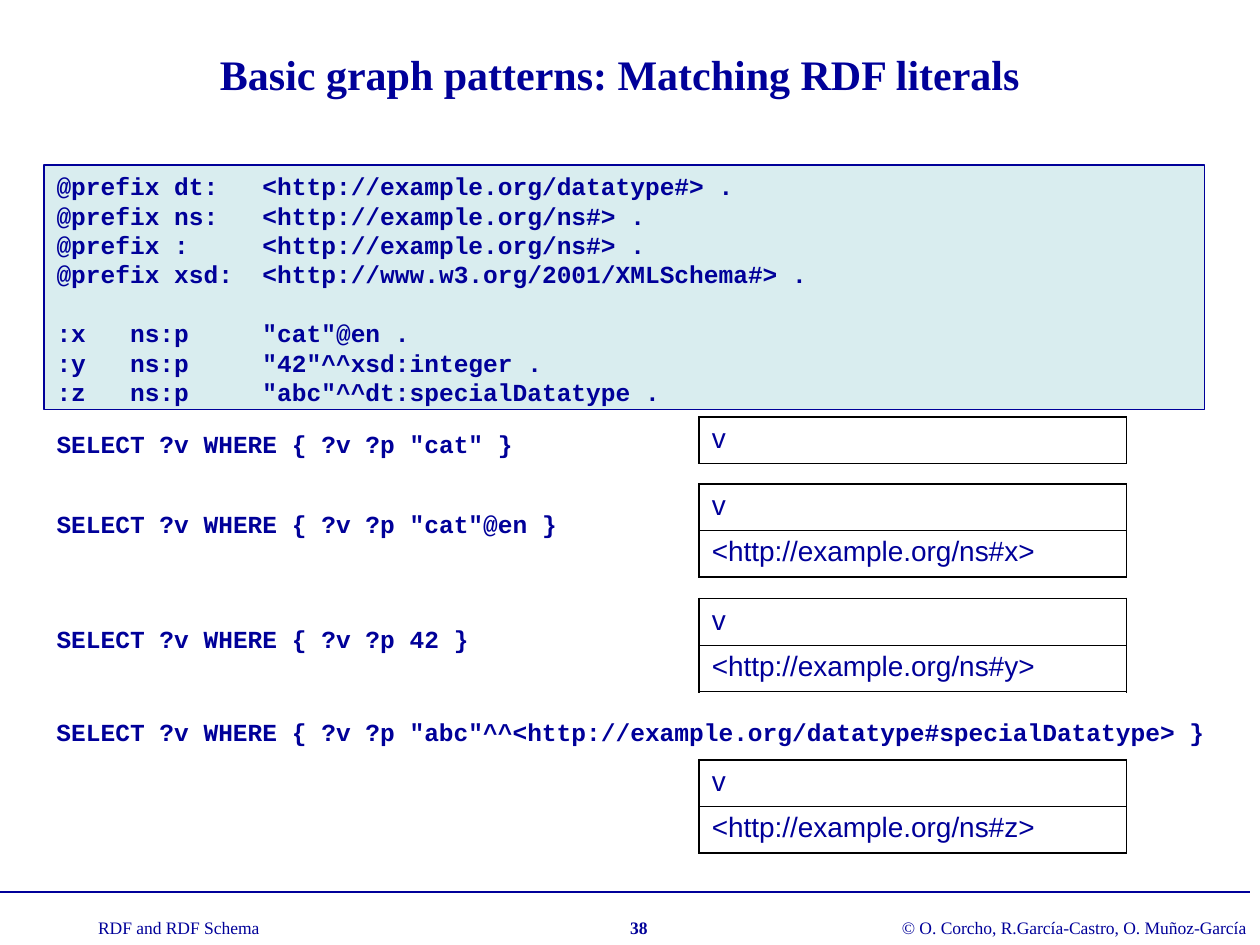
from lxml import etree
from pptx import Presentation
from pptx.dml.color import RGBColor
from pptx.enum.shapes import MSO_CONNECTOR, MSO_SHAPE
from pptx.enum.text import MSO_ANCHOR, MSO_AUTO_SIZE, PP_ALIGN
from pptx.oxml import parse_xml
from pptx.oxml.ns import nsdecls, qn
from pptx.util import Inches, Pt

NAVY = "000099"


def rgb(h):
    return RGBColor.from_string(h)


def write(tf, lines, font, size, bold=False, align=PP_ALIGN.LEFT):
    tf.text = "\n".join(lines)
    for p in tf.paragraphs:
        p.alignment = align
        for r in p.runs:
            r.font.name = font
            r.font.size = Pt(size)
            r.font.bold = bold
            r.font.color.rgb = rgb(NAVY)


prs = Presentation()
prs.slide_width, prs.slide_height = Inches(10), Inches(7.5)
s = prs.slides.add_slide(prs.slide_layouts[6])

rule = s.shapes.add_connector(
    MSO_CONNECTOR.STRAIGHT, Inches(0), Inches(7.08), Inches(9.92), Inches(7.08))
rule.line.color.rgb = rgb(NAVY)
rule.line.width = Pt(1)
etree.SubElement(rule._element.spPr, qn("a:effectLst"))

footers = [
    (7.06, 2.94, "© O. Corcho, R.García-Castro, O. Muñoz-García", False, PP_ALIGN.LEFT),
    (4.66, 0.82, "38", True, PP_ALIGN.CENTER),
    (0.68, 1.48, "RDF and RDF Schema", False, PP_ALIGN.LEFT),
]
for x, w, text, bold, align in footers:
    tf = s.shapes.add_textbox(Inches(x), Inches(7.23), Inches(w), Inches(0.27)).text_frame
    tf.word_wrap = False
    tf.auto_size = MSO_AUTO_SIZE.SHAPE_TO_FIT_TEXT
    write(tf, [text], "Times New Roman", 10, bold, align)

data = s.shapes.add_shape(
    MSO_SHAPE.RECTANGLE, Inches(0.35), Inches(1.31), Inches(9.21), Inches(1.94))
data.shadow.inherit = False
data.fill.solid()
data.fill.fore_color.rgb = rgb("D9EDEF")
data.line.color.rgb = rgb(NAVY)
data.line.width = Pt(0.75)
tf = data.text_frame
tf.vertical_anchor = MSO_ANCHOR.TOP
write(tf, [
    "@prefix dt:   <http://example.org/datatype#> .",
    "@prefix ns:   <http://example.org/ns#> .",
    "@prefix :     <http://example.org/ns#> .",
    "@prefix xsd:  <http://www.w3.org/2001/XMLSchema#> .",
    ':x   ns:p     "cat"@en .',
    ':y   ns:p     "42"^^xsd:integer .',
    ':z   ns:p     "abc"^^dt:specialDatatype .',
], "Courier New", 14, True)
for p in tf.paragraphs:
    p.line_spacing = Pt(16.8)
tf.paragraphs[4].space_before = Pt(16.8)

queries = [
    (3.36, 9.21, '"cat"', 3.31, ["v"]),
    (3.99, 9.21, '"cat"@en', 3.84, ["v", "<http://example.org/ns#x>"]),
    (4.9, 9.21, "42", 4.75, ["v", "<http://example.org/ns#y>"]),
    (5.64, 9.37, '"abc"^^<http://example.org/datatype#specialDatatype>', 6.03,
     ["v", "<http://example.org/ns#z>"]),
]
for y, w, literal, table_y, rows in queries:
    tf = s.shapes.add_textbox(Inches(0.35), Inches(y), Inches(w), Inches(0.34)).text_frame
    tf.word_wrap = True
    tf.auto_size = MSO_AUTO_SIZE.SHAPE_TO_FIT_TEXT
    write(tf, [f"SELECT ?v WHERE {{ ?v ?p {literal} }}"], "Courier New", 14, True)

    n = len(rows)
    table = s.shapes.add_table(
        n, 1, Inches(5.55), Inches(table_y), Inches(3.39), Inches(0.37 * n)).table
    table.first_row = table.horz_banding = False
    for i, text in enumerate(rows):
        table.rows[i].height = Inches(0.37)
        cell = table.cell(i, 0)
        write(cell.text_frame, [text], "Arial", 16)
        top = 1.08 if i == 0 else 0.45
        bottom = 1.08 if i == n - 1 else 0.45
        tcPr = cell._tc.get_or_add_tcPr()
        for side, width in (("L", 1.08), ("R", 1.08), ("T", top), ("B", bottom)):
            tcPr.append(parse_xml(
                f'<a:ln{side} {nsdecls("a")} w="{Pt(width)}"><a:solidFill>'
                f'<a:srgbClr val="000000"/></a:solidFill></a:ln{side}>'))
        cell.fill.background()

title = s.shapes.add_textbox(Inches(0.67), Inches(0.17), Inches(8.5), Inches(0.83))
tf = title.text_frame
tf.word_wrap = True
tf.vertical_anchor = MSO_ANCHOR.MIDDLE
write(tf, ["Basic graph patterns: Matching RDF literals"],
      "Times New Roman", 24, True, PP_ALIGN.CENTER)

prs.save("out.pptx")
